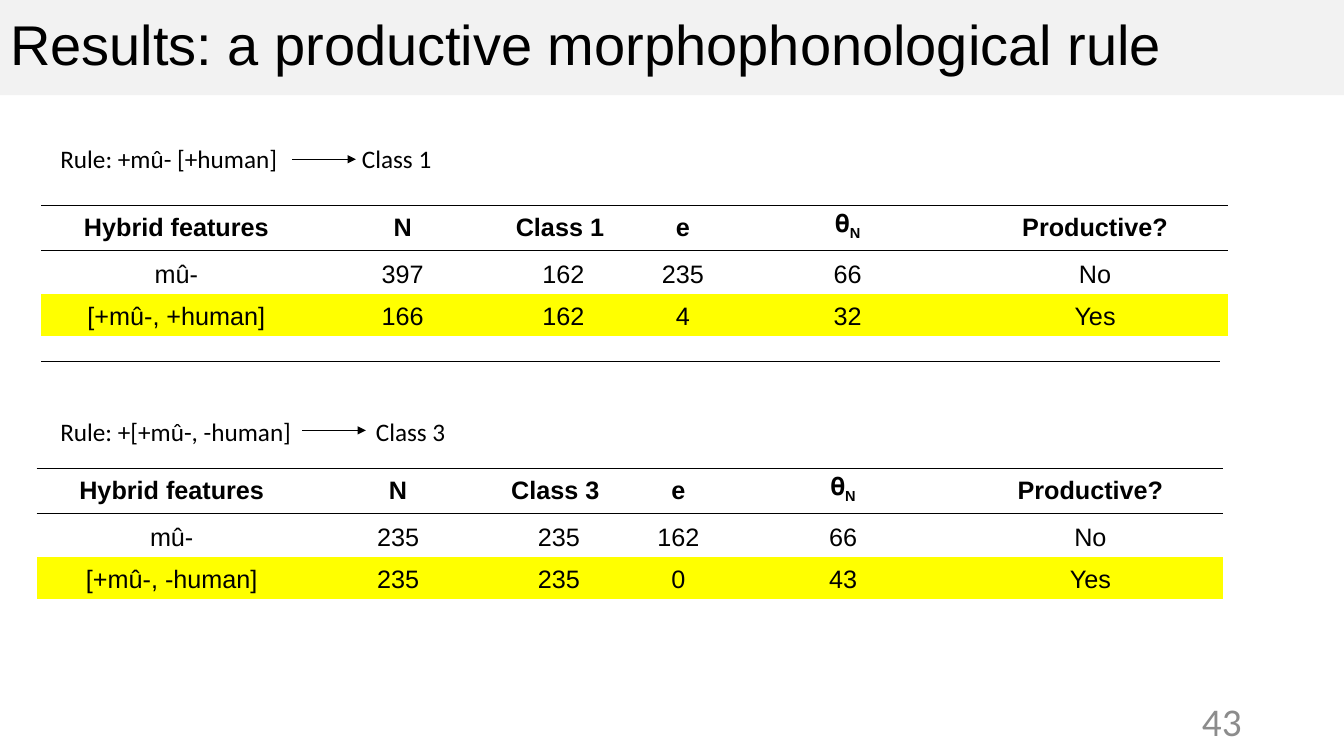
from lxml import etree
from pptx import Presentation
from pptx.dml.color import RGBColor
from pptx.enum.shapes import MSO_CONNECTOR
from pptx.enum.text import MSO_ANCHOR, MSO_AUTO_SIZE, PP_ALIGN
from pptx.oxml.ns import qn
from pptx.util import Pt

BLACK = RGBColor(0x00, 0x00, 0x00)
GREY = RGBColor(0x8C, 0x8C, 0x8C)
PALE_GREY = RGBColor(0xF2, 0xF2, 0xF2)
YELLOW = RGBColor(0xFF, 0xFF, 0x00)

STRAIGHT = MSO_CONNECTOR.STRAIGHT
LEFT, CENTER, RIGHT = PP_ALIGN.LEFT, PP_ALIGN.CENTER, PP_ALIGN.RIGHT
MIDDLE, BOTTOM = MSO_ANCHOR.MIDDLE, MSO_ANCHOR.BOTTOM
NO_AUTOFIT = MSO_AUTO_SIZE.NONE

LINE_WIDTH = Pt(0.5)
COLUMN_WIDTHS = [193, 130.3, 99.4, 71.3, 164.1, 189.3]
BODY_ROW_HEIGHT = 30.6
THETA = "𝛉"


def format_font(font, name, size, color, bold=False):
    font.name = name
    font.size = Pt(size)
    font.color.rgb = color
    font.bold = bold


def add_title(page, text):
    title = page.shapes.title
    title.left, title.top, title.width, title.height = Pt(0), Pt(0), Pt(960), Pt(68)
    title.fill.solid()
    title.fill.fore_color.rgb = PALE_GREY
    frame = title.text_frame
    frame.text = text
    frame.auto_size = NO_AUTOFIT
    frame.vertical_anchor = MIDDLE
    para = frame.paragraphs[0]
    para.alignment = LEFT
    para.line_spacing = 0.9
    format_font(para.runs[0].font, "Arial", 40, BLACK)


def add_text(page, text, left, top, width, size, color, align=LEFT, tab=None):
    box = page.shapes.add_textbox(Pt(left), Pt(top), Pt(width), Pt(29))
    frame = box.text_frame
    frame.word_wrap = True
    frame.text = text
    para = frame.paragraphs[0]
    para.alignment = align
    if tab:
        tabs = etree.SubElement(para._p.get_or_add_pPr(), qn("a:tabLst"))
        etree.SubElement(tabs, qn("a:tab"), pos=str(Pt(tab)), algn="l")
    for span in para.runs:
        format_font(span.font, "Calibri", size, color)
    return box


def add_line(page, left, top, length, arrow=False):
    line = page.shapes.add_connector(
        STRAIGHT, Pt(left), Pt(top), Pt(left + length), Pt(top))
    line.line.color.rgb = BLACK
    line.line.width = LINE_WIDTH
    if arrow:
        etree.SubElement(line.line._get_or_add_ln(), qn("a:tailEnd"), type="triangle")
    etree.SubElement(line._element.spPr, qn("a:effectLst"))


def set_borders(cell, drawn):
    """Draw the named sides in black and clear the others."""
    properties = cell._tc.get_or_add_tcPr()
    for side in ("L", "R", "T", "B"):
        border = etree.SubElement(properties, qn(f"a:ln{side}"), w=str(LINE_WIDTH))
        if side in drawn:
            fill = etree.SubElement(border, qn("a:solidFill"))
            etree.SubElement(fill, qn("a:srgbClr"), val=str(BLACK))
        else:
            etree.SubElement(border, qn("a:noFill"))


def fill_cell(cell, text, row):
    header = row == 0
    set_borders(cell, ("TB", "T", "")[row])
    if row == 2:
        cell.fill.solid()
        cell.fill.fore_color.rgb = YELLOW
    else:
        cell.fill.background()
    side = Pt(1.4 if header else 0.7)
    cell.margin_left = cell.margin_right = cell.margin_top = side
    cell.margin_bottom = Pt(6.5 if header else 3.6)
    cell.vertical_anchor = BOTTOM
    cell.text_frame.text = text
    para = cell.text_frame.paragraphs[0]
    para.alignment = CENTER
    if text == THETA:
        subscript = para.add_run()
        subscript.text = "N"
        subscript._r.get_or_add_rPr().set("baseline", "-25000")
    for span in para.runs:
        format_font(span.font, "Arial", 18, BLACK, header)


def add_results_table(page, left, top, header_height, rows):
    heights = [header_height, BODY_ROW_HEIGHT, BODY_ROW_HEIGHT]
    frame = page.shapes.add_table(
        len(rows), len(COLUMN_WIDTHS), Pt(left), Pt(top),
        Pt(sum(COLUMN_WIDTHS)), Pt(sum(heights)))
    table = frame.table
    table.first_row = table.horz_banding = False
    for column, width in zip(table.columns, COLUMN_WIDTHS):
        column.width = Pt(width)
    for row, (height, values) in enumerate(zip(heights, rows)):
        table.rows[row].height = Pt(height)
        for column, text in enumerate(values):
            fill_cell(table.cell(row, column), text, row)


def header_row(class_name):
    return ["Hybrid features", "N", class_name, "e", THETA, "Productive?"]


def main():
    deck = Presentation()
    deck.slide_width, deck.slide_height = Pt(960), Pt(540)
    page = deck.slides.add_slide(deck.slide_layouts[5])

    # Title band and page number
    add_title(page, "Results: a productive morphophonological rule")
    number = add_text(page, "43", 678, 500.5, 216, 28, GREY, RIGHT)
    number.text_frame.vertical_anchor = MIDDLE

    # Rule for class 1
    add_text(page, "Rule: +mû- [+human]\tClass 1", 36, 98.6, 353, 18, BLACK, tab=215.4)
    add_line(page, 208.8, 113.8, 45.4, arrow=True)
    add_results_table(page, 29.5, 146.6, 30.7, [
        header_row("Class 1 "),
        ["mû-", "397", "162", "235", "66", "No"],
        ["[+mû-, +human]", "166", "162", "4", "32", "Yes"],
    ])
    add_line(page, 29.5, 258.3, 842)

    # Rule for class 3
    add_text(page, "Rule: +[+mû-, -human]\tClass 3", 36, 293.8, 324, 18, BLACK, tab=225.4)
    add_line(page, 216, 307.4, 45.4, arrow=True)
    add_results_table(page, 26.2, 334.5, 32, [
        header_row("Class 3 "),
        ["mû-", "235", "235", "162", "66", "No"],
        ["[+mû-, -human]", "235", "235", "0", "43", "Yes"],
    ])

    deck.save("out.pptx")


if __name__ == "__main__":
    main()
